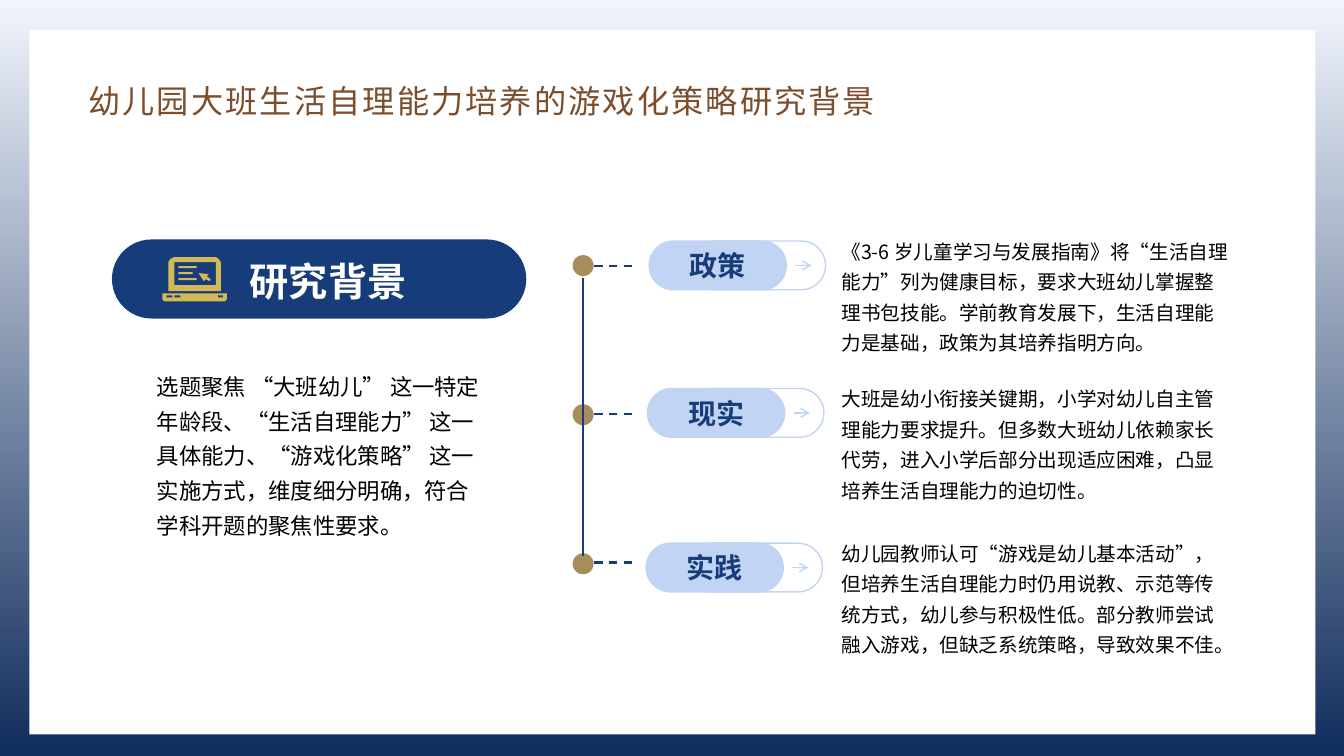
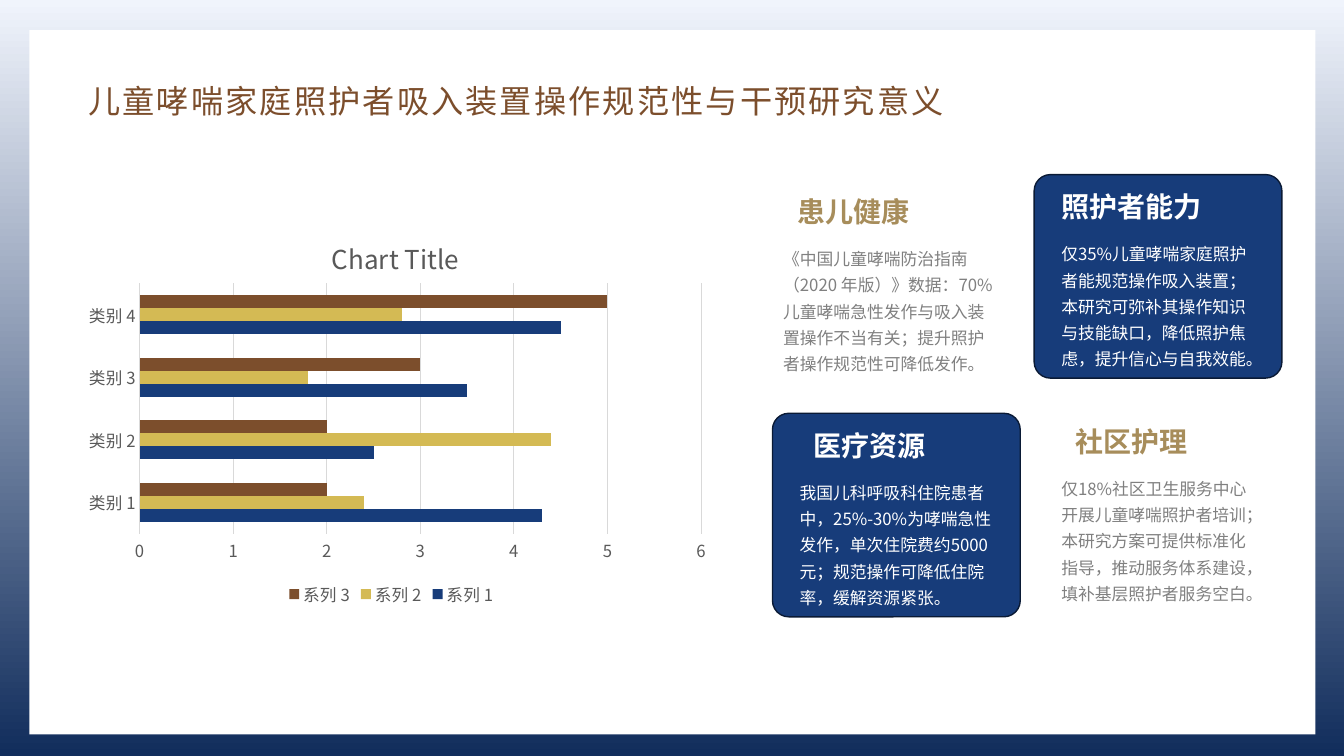
from dataclasses import dataclass

from lxml.etree import SubElement
from pptx import Presentation
from pptx.chart.data import CategoryChartData
from pptx.dml.color import RGBColor
from pptx.enum.chart import XL_CHART_TYPE, XL_LEGEND_POSITION, XL_TICK_MARK
from pptx.enum.dml import MSO_LINE
from pptx.enum.lang import MSO_LANGUAGE_ID
from pptx.enum.shapes import MSO_CONNECTOR, MSO_SHAPE
from pptx.enum.text import MSO_ANCHOR, PP_ALIGN
from pptx.oxml import parse_xml
from pptx.oxml.ns import nsdecls, qn
from pptx.util import Pt


@dataclass(frozen=True)
class Theme:
    font: str = "Noto Sans CJK SC"
    navy: RGBColor = RGBColor(0x17, 0x3C, 0x7A)
    edge: RGBColor = RGBColor(0x0A, 0x1A, 0x35)
    sky: RGBColor = RGBColor(0xF0, 0xF4, 0xFC)
    deep: RGBColor = RGBColor(0x11, 0x2D, 0x5C)
    pale: RGBColor = RGBColor(0xC2, 0xD4, 0xF3)
    brown: RGBColor = RGBColor(0x7C, 0x4E, 0x2C)
    tan: RGBColor = RGBColor(0xA7, 0x8D, 0x5B)
    gold: RGBColor = RGBColor(0xD4, 0xBA, 0x54)
    black: RGBColor = RGBColor(0, 0, 0)
    white: RGBColor = RGBColor(0xFF, 0xFF, 0xFF)
    gray: RGBColor = RGBColor(0x80, 0x80, 0x80)
    ink: RGBColor = RGBColor(0x59, 0x59, 0x59)
    grid: RGBColor = RGBColor(0xD9, 0xD9, 0xD9)
    title: float = 23
    hero: float = 28
    head: float = 20
    lead: float = 16
    body: float = 14
    note: float = 12
    label: float = 11.9
    chart: float = 18.6


T = Theme()


def place(slide, box, kind=None, fill=None, line=None, round=None):
    """Add a text box, or a preset shape when a kind is given."""
    box = [Pt(v) for v in box]
    if kind is None:
        return slide.shapes.add_textbox(*box)
    shape = slide.shapes.add_shape(kind, *box)
    shape.shadow.inherit = False
    if round is not None:
        shape.adjustments[0] = round
    for part, color in ((shape.fill, fill), (shape.line.fill, line)):
        if color is None:
            part.background()
        else:
            part.solid()
            part.fore_color.rgb = color
    if line is not None:
        shape.line.width = Pt(1)
    return shape


def write(shape, text, size=T.body, color=T.black, bold=False, align=PP_ALIGN.LEFT,
          space=1.0, gap=0, anchor=MSO_ANCHOR.TOP):
    """Fill a shape with one formatted paragraph."""
    frame = shape.text_frame
    frame.word_wrap = True
    frame.vertical_anchor = anchor
    para = frame.paragraphs[0]
    para.alignment = align
    para.line_spacing = space
    run = para.add_run()
    run.text = text
    font = run.font
    font.size, font.bold, font.name = Pt(size), bold, T.font
    font.color.rgb = color
    font.language_id = MSO_LANGUAGE_ID.SIMPLIFIED_CHINESE
    props = run._r.get_or_add_rPr()
    SubElement(props, qn("a:ea"), typeface=T.font)
    if gap:
        props.set("spc", str(int(gap * 100)))


deck = Presentation()
deck.slide_width, deck.slide_height = Pt(960), Pt(540)

# Shared gradient, panel and title
back = deck.slide_master.background.fill
back.gradient()
back.gradient_angle = 270
for stop, color in zip(back.gradient_stops, (T.sky, T.deep)):
    stop.color.rgb = color

titles = (
    "幼儿园大班生活自理能力培养的游戏化策略研究背景",
    "儿童哮喘家庭照护者吸入装置操作规范性与干预研究意义",
)
slides = []
for title in titles:
    slide = deck.slides.add_slide(deck.slide_layouts[6])
    place(slide, (21, 21.5, 918.5, 503), MSO_SHAPE.RECTANGLE, T.white)
    write(place(slide, (56, 46, 660, 43)), title, size=T.title, color=T.brown,
          space=1.3, gap=1.5)
    slides.append(slide)
first, second = slides

# Slide 1: banner with laptop icon
place(first, (80, 171, 296, 56.5), MSO_SHAPE.ROUNDED_RECTANGLE, T.navy, round=0.5)
outlines = [
    [(12, 0), (53, 0), (56, 2), (58, 5), (58, 34), (6, 34), (6, 5), (8, 2)],
    [(0, 36), (64, 36), (64, 42), (62, 44), (2, 44), (0, 42)],
    [(36, 16), (41, 24), (43, 22), (47, 24), (48, 22), (44, 19), (46, 17)],
]
bars = [
    (12, 5, 53, 28),
    (16, 9, 34, 11), (16, 15, 30, 17), (16, 21, 34, 23),
    (4, 38, 10, 40), (12, 38, 18, 40), (55, 38, 60, 40),
]
outlines += [[(l, t), (r, t), (r, b), (l, b)] for l, t, r, b in bars]
pen = first.shapes.build_freeform(*outlines[0][0], scale=Pt(0.72))
for step, points in enumerate(outlines):
    if step:
        pen.move_to(*points[0])
    pen.add_line_segments(points[1:], close=True)
icon = pen.convert_to_shape(Pt(116), Pt(183.6))
icon.shadow.inherit = False
icon.fill.solid()
icon.fill.fore_color.rgb = T.gold
icon.line.fill.background()
write(place(first, (171.4, 177, 199, 45)), "研究背景", size=T.hero, color=T.white,
      bold=True, space=1.1)
write(place(first, (105, 257, 251.5, 133)),
      "选题聚焦 “大班幼儿” 这一特定年龄段、“生活自理能力” 这一具体能力、"
      "“游戏化策略” 这一实施方式，维度细分明确，符合学科开题的聚焦性要求。",
      size=T.lead, space=1.3)

# Slide 1: timeline rows with pill left, pill top, label and text
rows = [
    (463.7, 172.2, "政策",
     "《3-6 岁儿童学习与发展指南》将“生活自理能力”列为健康目标，要求大班幼儿掌握"
     "整理书包技能。学前教育发展下，生活自理能力是基础，政策为其培养指明方向。"),
    (462.5, 277.5, "现实",
     "大班是幼小衔接关键期，小学对幼儿自主管理能力要求提升。但多数大班幼儿依赖家长"
     "代劳，进入小学后部分出现适应困难，凸显培养生活自理能力的迫切性。"),
    (461.5, 388, "实践",
     "幼儿园教师认可“游戏是幼儿基本活动”，但培养生活自理能力时仍用说教、示范等传统"
     "方式，幼儿参与积极性低。部分教师尝试融入游戏，但缺乏系统策略，导致效果不佳。"),
]
lines = [(416.5, 198.5, 416.5, 397.5, T.navy, 1.5, "")]
for step, (left, top, label, text) in enumerate(rows):
    place(first, (409, 182.2 + 106.5 * step, 15, 15), MSO_SHAPE.OVAL, T.tan)
    place(first, (left + 28, top, 98, 34.8), MSO_SHAPE.ROUNDED_RECTANGLE,
          line=T.pale, round=0.5)
    pill = place(first, (left, top, 98, 34.8), MSO_SHAPE.ROUNDED_RECTANGLE,
                 T.pale, T.pale, 0.5)
    write(pill, label, size=T.head, color=T.navy, bold=True,
          align=PP_ALIGN.CENTER, anchor=MSO_ANCHOR.MIDDLE)
    write(place(first, (594, top - 9.7, 292.3, 95)), text, space=1.3)
    dash, mid = 190 + 105.9 * step, top + 17.4
    lines += [
        (424.5, dash, 456, dash, T.navy, 1.5, "dash"),
        (left + 104.5, mid, left + 116, mid, T.pale, 1, "arrow"),
    ]

# Slide 1: spine, dashes and arrows
for x1, y1, x2, y2, color, width, style in lines:
    link = first.shapes.add_connector(MSO_CONNECTOR.STRAIGHT, Pt(x1), Pt(y1), Pt(x2), Pt(y2))
    link.line.color.rgb = color
    link.line.width = Pt(width)
    if style == "dash":
        link.line.dash_style = MSO_LINE.DASH
    elif style == "arrow":
        SubElement(link.line._get_or_add_ln(), qn("a:tailEnd"), type="arrow")
    SubElement(link.element.spPr, qn("a:effectLst"))

# Slide 2: bar chart
data = CategoryChartData()
data.categories = ["类别 1", "类别 2", "类别 3", "类别 4"]
data.add_series("系列 1", (4.3, 2.5, 3.5, 4.5))
data.add_series("系列 2", (2.4, 4.4, 1.8, 2.8))
data.add_series("系列 3", (2, 2, 3, 5))
chart = second.shapes.add_chart(XL_CHART_TYPE.BAR_CLUSTERED, Pt(49), Pt(147.6),
                                Pt(461), Pt(288.7), data).chart
chart.has_title = True
head = chart.chart_title
head.text_frame.text = "Chart Title"
chart.has_legend = True
chart.legend.position = XL_LEGEND_POSITION.BOTTOM
chart.legend.include_in_layout = False
plot = chart.plots[0]
plot.gap_width, plot.overlap, plot.vary_by_categories = 182, 0, False
for series, color in zip(plot.series, (T.navy, T.gold, T.brown)):
    series.format.fill.solid()
    series.format.fill.fore_color.rgb = color
    series.invert_if_negative = False

# Slide 2: chart axes and fonts
cat, val = chart.category_axis, chart.value_axis
val.minimum_scale, val.maximum_scale, val.major_unit = 0, 6, 1
val.has_major_gridlines = True
val.format.line.fill.background()
for axis in (cat, val):
    axis.major_tick_mark = axis.minor_tick_mark = XL_TICK_MARK.NONE
for line in (cat.format.line, val.major_gridlines.format.line):
    line.color.rgb = T.grid
    line.width = Pt(0.75)
fonts = [(part.font, T.label) for part in
         (chart, cat.tick_labels, val.tick_labels, chart.legend)]
fonts.append((head.text_frame.paragraphs[0].runs[0].font, T.chart))
for font, size in fonts:
    font.size, font.name, font.bold = Pt(size), T.font, False
    font.color.rgb = T.ink
for latin in list(chart.element.iter(qn("a:latin"))):
    SubElement(latin.getparent(), qn("a:ea"), typeface=T.font)

# Slide 2: chart title and plot positions, as shares of the chart
area = chart.element.find(".//" + qn("c:plotArea"))
spots = (
    (head.element, 1, {"xMode": "edge", "yMode": "edge", "x": 0.4, "y": 0.06}),
    (area, 0, {"layoutTarget": "inner", "xMode": "edge", "yMode": "edge",
               "x": 0.11, "y": 0.19, "w": 0.87, "h": 0.62}),
)
for part, index, values in spots:
    for old in part.findall(qn("c:layout")):
        part.remove(old)
    layout = parse_xml(f"<c:layout {nsdecls('c')}><c:manualLayout/></c:layout>")
    for key, value in values.items():
        SubElement(layout[0], qn(f"c:{key}"), val=str(value))
    part.insert(index, layout)

# Slide 2: cards with left, top, text width, dark or plain, heading and text
cards = [
    (540, 128.2, 168, False, "患儿健康",
     "《中国儿童哮喘防治指南（2020 年版）》数据：70%儿童哮喘急性发作与吸入装置操作"
     "不当有关；提升照护者操作规范性可降低发作。"),
    (738.7, 124.7, 155.5, True, "照护者能力",
     "仅35%儿童哮喘家庭照护者能规范操作吸入装置；本研究可弥补其操作知识与技能缺口，"
     "降低照护焦虑，提升信心与自我效能。"),
    (551.8, 295.2, 155.5, True, "医疗资源",
     "我国儿科呼吸科住院患者中，25%-30%为哮喘急性发作，单次住院费约5000元；"
     "规范操作可降低住院率，缓解资源紧张。"),
    (738.7, 292.3, 155.5, False, "社区护理",
     "仅18%社区卫生服务中心开展儿童哮喘照护者培训；本研究方案可提供标准化指导，"
     "推动服务体系建设，填补基层照护者服务空白。"),
]
for left, top, width, dark, label, text in cards:
    if dark:
        place(second, (left, top, 177, 145.4), MSO_SHAPE.ROUNDED_RECTANGLE,
              T.navy, T.edge, 0.08)
    write(place(second, (left - 12.9, top + 7.2, 165, 31.5)), label, size=T.head,
          color=T.white if dark else T.tan, bold=True, align=PP_ALIGN.CENTER)
    write(place(second, (left + 12.3, top + 41.8, width, 101.5)), text, size=T.note,
          color=T.white if dark else T.gray, space=1.3)

deck.save("out.pptx")
